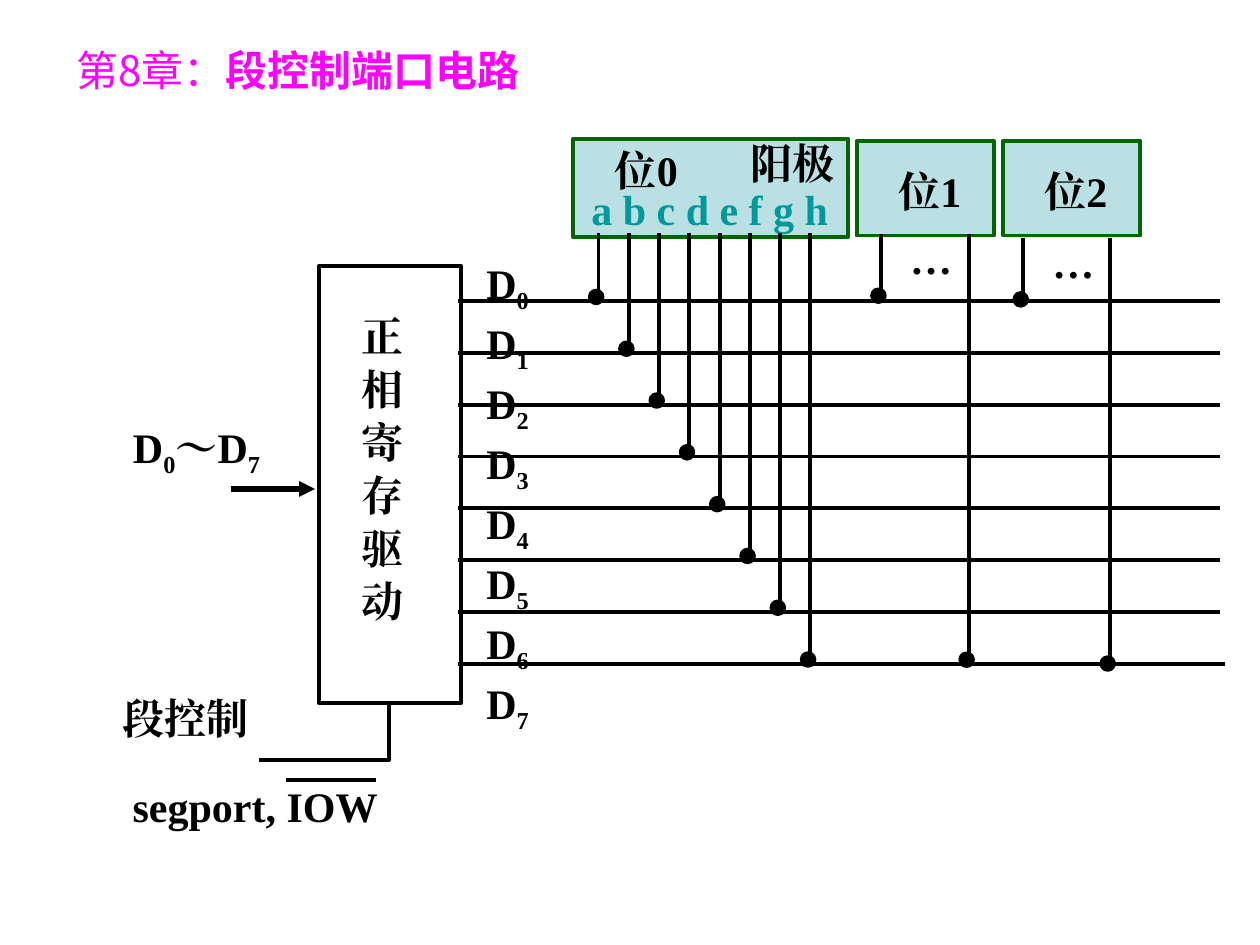
import pptx
import pptx.util
import pptx.dml.color
import pptx.enum.shapes
import pptx.enum.text
import pptx.oxml.ns
import lxml.etree

Pt = pptx.util.Pt
RGB = pptx.dml.color.RGBColor
SHAPE = pptx.enum.shapes.MSO_SHAPE
ALIGN = pptx.enum.text.PP_ALIGN
ANCHOR = pptx.enum.text.MSO_ANCHOR
qn = pptx.oxml.ns.qn

BLACK = RGB(0x00, 0x00, 0x00)
MAGENTA = RGB(0xFF, 0x00, 0xFF)
TEAL = RGB(0x00, 0x99, 0x99)
DIGIT_FILL = RGB(0xBB, 0xE0, 0xE3)
DIGIT_EDGE = RGB(0x00, 0x66, 0x00)

LABEL = {"size": Pt(24), "bold": True, "name": "Times New Roman"}
CHAPTER = {"size": Pt(24), "bold": False, "name": "Noto Sans CJK JP"}
TOPIC = {"size": Pt(24), "bold": True, "name": "Arial"}
LABEL_FRAME = {"word_wrap": True, "vertical_anchor": ANCHOR.TOP,
               "margin_left": Pt(0.9), "margin_right": Pt(0.9),
               "margin_top": Pt(0.9), "margin_bottom": Pt(0.9)}
TITLE_FRAME = {"word_wrap": True, "vertical_anchor": ANCHOR.MIDDLE}

LINE_GAP = 1.5
WIRES = 8
WIRE_TOP, WIRE_PITCH = 172.1, 29.6
WIRE_LEFT, WIRE_RIGHT, LAST_WIRE_RIGHT = 262, 697, 700
ANODE_LEFT, ANODE_PITCH, ANODE_TOP = 342, 17.3, 133.2
DOT_SIZE, DOT_LEFT_OF_LEAD, DOT_ABOVE_END = 7.2, 4.9, 6

title = [("第8章：", CHAPTER), ("段控制端口电路", TOPIC)]
digits = [(327.6, 79.2, 157, 56.2), (489.6, 80.6, 78.5, 54), (573.1, 80.6, 78.5, 54)]
register = (182.2, 151.9, 81.4, 249.8)
labels = [
    ([f"D_{n}" for n in range(WIRES)], (260.6, 144.7, 59, 254.9), ALIGN.CENTER, BLACK),
    (["阳极"], (418.3, 76.3, 69.1, 36.7), ALIGN.CENTER, BLACK),
    (["位0"], (334.8, 79.9, 69.1, 36.7), ALIGN.CENTER, BLACK),
    (["a b c d e f g h"], (337, 102.2, 167, 36.7), ALIGN.LEFT, TEAL),
    (["位1"], (496.8, 92.2, 69.1, 35.3), ALIGN.CENTER, BLACK),
    (["位2"], (580.3, 92.2, 69.1, 35.3), ALIGN.CENTER, BLACK),
    (["…"], (493.9, 130.3, 76.3, 41), ALIGN.CENTER, BLACK),
    (["…"], (575.3, 132.5, 76.3, 41), ALIGN.CENTER, BLACK),
    (["D_0～D_7"], (64.8, 238.3, 95, 41.8), ALIGN.CENTER, BLACK),
    (["段控制"], (69.1, 393.1, 119.5, 47.5), ALIGN.LEFT, BLACK),
    (list("正相寄存驱动"), (205.9, 175, 47.5, 221.8), ALIGN.JUSTIFY, BLACK),
    (["segport, IOW"], (68.4, 443.5, 154.8, 41.8), ALIGN.CENTER, BLACK),
]
digit_leads = [(503.3, 133.9, 171.4), (553.7, 133.9, 379.4),
               (584.6, 136.1, 173.5), (634.3, 136.1, 381.6)]
data_bus = (131.8, 279.4, 180, 279.4)
iow_overline = (214.6, 445.7, 163.4, 445.7)
select_line = [(222.5, 402.5), (222.5, 434.2), (148.3, 434.2)]

presentation = pptx.Presentation()
presentation.slide_width, presentation.slide_height = Pt(720), Pt(540)
slide = presentation.slides.add_slide(presentation.slide_layouts[6])
shapes = slide.shapes


def points(values):
    return [Pt(round(value, 2)) for value in values]


def apply(target, values):
    for attribute, value in values.items():
        setattr(target, attribute, value)


def add_run(paragraph, text, style, color, subscript=False):
    run = paragraph.add_run()
    run.text = text
    run.font.color.rgb = color
    apply(run.font, style)
    properties = run._r.get_or_add_rPr()
    east_asian = lxml.etree.SubElement(properties, qn("a:ea"))
    east_asian.set("typeface", style["name"])
    if subscript:
        properties.set("baseline", "-25000")


def add_frame(box, settings):
    frame = shapes.add_textbox(*points(box)).text_frame
    apply(frame, settings)
    return frame


def add_label(lines, box, alignment, color):
    left, top, width, height = box
    frame = add_frame((left, top + LINE_GAP, width, height), LABEL_FRAME)
    for index, line in enumerate(lines):
        paragraph = frame.add_paragraph() if index else frame.paragraphs[0]
        paragraph.alignment = alignment
        if index:
            paragraph.space_before = Pt(LINE_GAP)
        first, *rest = line.split("_")
        add_run(paragraph, first, LABEL, color)
        for piece in rest:
            add_run(paragraph, piece[0], LABEL, color, subscript=True)
            if piece[1:]:
                add_run(paragraph, piece[1:], LABEL, color)


def finish(shape, fill=None, edge=BLACK):
    shape.shadow.inherit = False
    if fill is None:
        shape.fill.background()
    else:
        shape.fill.solid()
        shape.fill.fore_color.rgb = fill
    shape.line.color.rgb = edge
    shape.line.width = Pt(2.25)


def add_line(ends, width=2.25):
    line = shapes.add_connector(pptx.enum.shapes.MSO_CONNECTOR.STRAIGHT, *points(ends))
    line.line.color.rgb = BLACK
    line.line.width = Pt(width)
    lxml.etree.SubElement(line._element.spPr, qn("a:effectLst"))
    return line


heading = add_frame((36.7, 20.2, 648, 39.6), TITLE_FRAME).paragraphs[0]
for text, style in title:
    add_run(heading, text, style, MAGENTA)

for digit in digits:
    finish(shapes.add_shape(SHAPE.RECTANGLE, *points(digit)), DIGIT_FILL, DIGIT_EDGE)
finish(shapes.add_shape(SHAPE.RECTANGLE, *points(register)))

for label in labels:
    add_label(*label)

wire_heights = [WIRE_TOP + WIRE_PITCH * n for n in range(WIRES)]
for y in wire_heights:
    right = LAST_WIRE_RIGHT if y == wire_heights[-1] else WIRE_RIGHT
    add_line((right, y, WIRE_LEFT, y))

anode_leads = [(ANODE_LEFT + ANODE_PITCH * n, ANODE_TOP, y)
               for n, y in enumerate(wire_heights)]
for x, top, end in anode_leads + digit_leads:
    add_line((x, top, x, end))
    dot = (x - DOT_LEFT_OF_LEAD, end - DOT_ABOVE_END, DOT_SIZE, DOT_SIZE)
    finish(shapes.add_shape(SHAPE.OVAL, *points(dot)), BLACK)

arrow = add_line(data_bus, 3)
lxml.etree.SubElement(arrow.line._get_or_add_ln(), qn("a:tailEnd")).set("type", "triangle")
add_line(iow_overline)

start, *corners = [points(corner) for corner in select_line]
outline = shapes.build_freeform(*start)
outline.add_line_segments(corners, close=False)
finish(outline.convert_to_shape())

presentation.save("out.pptx")
